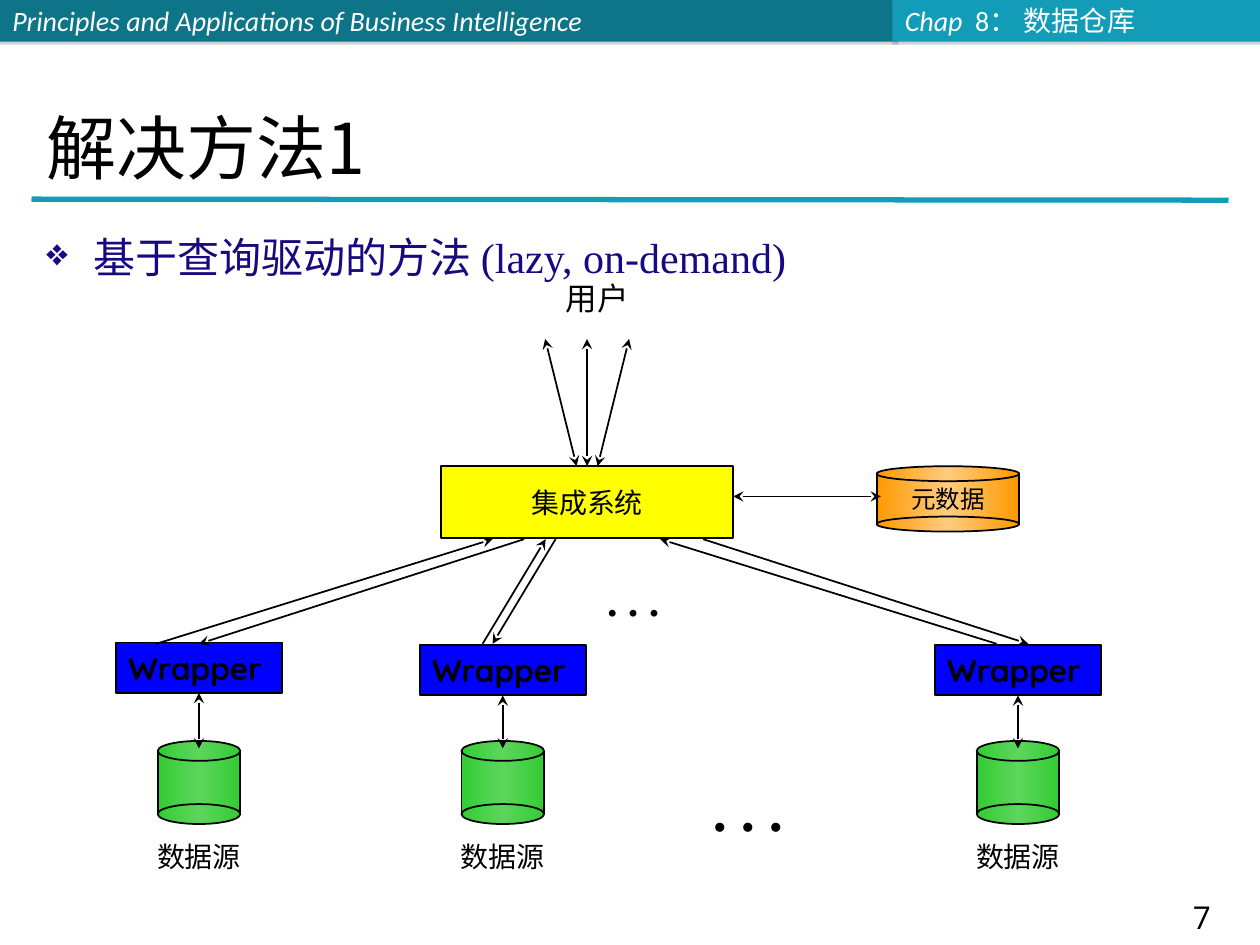
import copy

import pptx
import pptx.dml.color
import pptx.enum.shapes
import pptx.enum.text
import pptx.oxml
import pptx.oxml.ns
import pptx.util

Pt = pptx.util.Pt
SHAPE = pptx.enum.shapes.MSO_SHAPE
ALIGN = pptx.enum.text.PP_ALIGN
ANCHOR = pptx.enum.text.MSO_ANCHOR
CJK = "Noto Sans CJK SC"
NS = 'xmlns:a="http://schemas.openxmlformats.org/drawingml/2006/main"'


def rgb(value):
    return pptx.dml.color.RGBColor.from_string(value)


def assign(obj, values):
    for name, value in values.items():
        setattr(obj, name, value)


def xml(tag, body=""):
    name = tag.split()[0]
    return pptx.oxml.parse_xml(f"<a:{tag} {NS}>{body}</a:{name}>")


def place(sp, box):
    assign(sp, dict(zip(("left", "top", "width", "height"), map(Pt, box))))


def add_run(p, text, size, color="000000", font="Quicksand", **style):
    r = p.add_run()
    r.text = text
    assign(r.font, {"size": Pt(size), "name": font, **style})
    r.font.color.rgb = rgb(color)
    r.font._element.append(xml(f'ea typeface="{CJK}"'))


def add_text(slide, box, text, size, align=ALIGN.CENTER, wrap=False, **style):
    tf = slide.shapes.add_textbox(*map(Pt, box)).text_frame
    tf.word_wrap = wrap
    p = tf.paragraphs[0]
    p.alignment = align
    add_run(p, text, size, **style)
    return p


def add_block(slide, box, fill, line="000000", kind=SHAPE.RECTANGLE):
    sp = slide.shapes.add_shape(kind, *map(Pt, box))
    sp.shadow.inherit = False
    if isinstance(fill, tuple):
        edge, middle = fill
        sp.fill.gradient()
        sp.fill.gradient_angle = 0
        stops = sp._element.spPr.find(".//" + pptx.oxml.ns.qn("a:gsLst"))
        stops.insert(1, copy.deepcopy(stops[0]))
        for stop, pos, color in zip(sp.fill.gradient_stops, (0, 0.5, 1), (edge, middle, edge)):
            stop.position = pos
            stop.color.rgb = rgb(color)
    else:
        sp.fill.solid()
        sp.fill.fore_color.rgb = rgb(fill)
    if line:
        sp.line.color.rgb = rgb(line)
        sp.line.width = Pt(1)
    else:
        sp.line.fill.background()
    tf = sp.text_frame
    assign(tf, {"word_wrap": False, "vertical_anchor": ANCHOR.MIDDLE})
    return sp


def fill_text(sp, text, size, align=ALIGN.CENTER, **style):
    p = sp.text_frame.paragraphs[0]
    p.alignment = align
    add_run(p, text, size, **style)


def add_line(slide, ends, color="000000", width=1, arrows=()):
    c = slide.shapes.add_connector(pptx.enum.shapes.MSO_CONNECTOR.STRAIGHT, *map(Pt, ends))
    c.line.color.rgb = rgb(color)
    c.line.width = Pt(width)
    ln = c.line._get_or_add_ln()
    for end in arrows:
        ln.append(xml(f'{end} type="stealth"'))
    c._element.spPr.append(xml("effectLst"))
    return c


def add_cylinder(slide, box, cap, fill):
    x, y, w, h = box
    top, bottom = y + cap / 2, y + h - cap / 2
    body = add_block(slide, (x, top, w, bottom - top), fill, line="FFFFFF")
    for side in (x, x + w):
        add_line(slide, (side, top, side, bottom))
    for cap_y in (y, y + h - cap):
        add_block(slide, (x, cap_y, w, cap), fill, kind=SHAPE.OVAL)
    return body


def add_header(slide, box):
    x, y, w, h = box
    parts = [
        (x, 513.4, "0E7589", [("Principles and Applications of Business Intelligence", True)]),
        (x + 510, w - 510, "139CB7", [("Chap  ", True), ("8： 数据仓库", False)]),
    ]
    for left, width, fill, runs in parts:
        sp = add_block(slide, (left, y, width, h), fill, line=None)
        effects = sp._element.spPr.find(pptx.oxml.ns.qn("a:effectLst"))
        effects.append(xml('outerShdw dist="22860" dir="5400000" rotWithShape="0"',
                           '<a:srgbClr val="808080"><a:alpha val="35000"/></a:srgbClr>'))
        for text, italic in runs:
            fill_text(sp, text, 16, ALIGN.LEFT, color="FFFFFF", font="Calibri", italic=italic)


def add_title(slide, box):
    title = slide.shapes.title
    place(title, box)
    assign(title.text_frame, {"vertical_anchor": ANCHOR.BOTTOM, "word_wrap": True,
                              "auto_size": pptx.enum.text.MSO_AUTO_SIZE.NONE})
    fill_text(title, "解决方法1", 40, ALIGN.LEFT, font=CJK)
    add_line(slide, (18, 113.8, 702, 114.4), "139CB7", 3)


def add_bullet(slide, box):
    p = add_text(slide, box, "基于查询驱动的方法 (lazy, on-demand)", 24, ALIGN.LEFT, True,
                 color="170981", font="Times New Roman")
    pPr = p._p.get_or_add_pPr()
    pPr.set("marL", str(Pt(27)))
    pPr.set("indent", str(-Pt(27)))
    pPr.append(xml("buClr", '<a:srgbClr val="170981"/>'))
    pPr.append(xml('buSzPct val="90000"'))
    pPr.append(xml('buChar char="❖"'))


def add_source(slide, box):
    x, y, w, h = box
    mid = x + w / 2
    wrapper = add_block(slide, box, "0000FF")
    fill_text(wrapper, "Wrapper", 18, ALIGN.LEFT, bold=True)
    add_cylinder(slide, (mid - 23.6, 423.4, 47.2, 47.5), 11.4, ("33CC33", "5CD65C"))
    add_text(slide, (mid - 31.4, 476, 62.8, 26.6), "数据源", 16)
    link = add_line(slide, (mid, y + h, mid, 427.7), arrows=("headEnd", "tailEnd"))
    link.begin_connect(wrapper, 2)


def add_integration(slide, box):
    x, y, w, h = box
    mid = x + w / 2
    both = ("headEnd", "tailEnd")
    system = add_block(slide, box, "FFFF00")
    fill_text(system, "集成系统", 16)
    add_text(slide, (316.1, 156.2, 50.4, 28.8), "用户", 18)
    for side in (-1, 0, 1):
        link = add_line(slide, (mid + 24 * side, 193.7, mid + 6 * side, y), arrows=both)
        if side == 0:
            link.end_connect(system, 0)
    store = add_cylinder(slide, (501, y, 81.4, 37.4), 8.6, ("FF9900", "FFCC7F"))
    fill_text(store, "元数据", 14)
    add_line(slide, (x + w, 283.7, 503.3, 283.7), arrows=both)
    low, high = 367.9, y + h + 0.7
    for wrapper_in, system_in, system_out, wrapper_out in [
        (89.3, 281.5, 299.5, 113.8), (275.8, 311.8, 317.5, 281.5), (569.5, 377.3, 401.8, 587.5),
    ]:
        add_line(slide, (wrapper_in, low, system_in, high), arrows=("tailEnd",))
        add_line(slide, (system_out, high, wrapper_out, low), arrows=("tailEnd",))


def main():
    prs = pptx.Presentation()
    prs.slide_width, prs.slide_height = Pt(720), Pt(540)
    slide = prs.slides.add_slide(prs.slide_layouts[5])
    add_header(slide, (0, 0, 720, 23.8))
    add_title(slide, (19.4, 39.6, 648, 72))
    for left, top in ((66.2, 367.2), (239.8, 368.6), (534.2, 368.6)):
        add_source(slide, (left, top, 95, 28.8))
    add_integration(slide, (252, 266.4, 167, 41))
    for box, size in (((339.8, 324.7, 44.6, 36), 24), ((400.3, 439.9, 54.7, 45.4), 32)):
        add_text(slide, box, ". . .", size, ALIGN.LEFT, font="Times New Roman", bold=True)
    add_bullet(slide, (19.4, 128.9, 612, 54))
    number = add_text(slide, (650.5, 511.2, 72.7, 27.4), "7", 18, wrap=True, font="Open Sans")
    number.line_spacing = Pt(20)
    prs.save("out.pptx")


if __name__ == "__main__":
    main()
